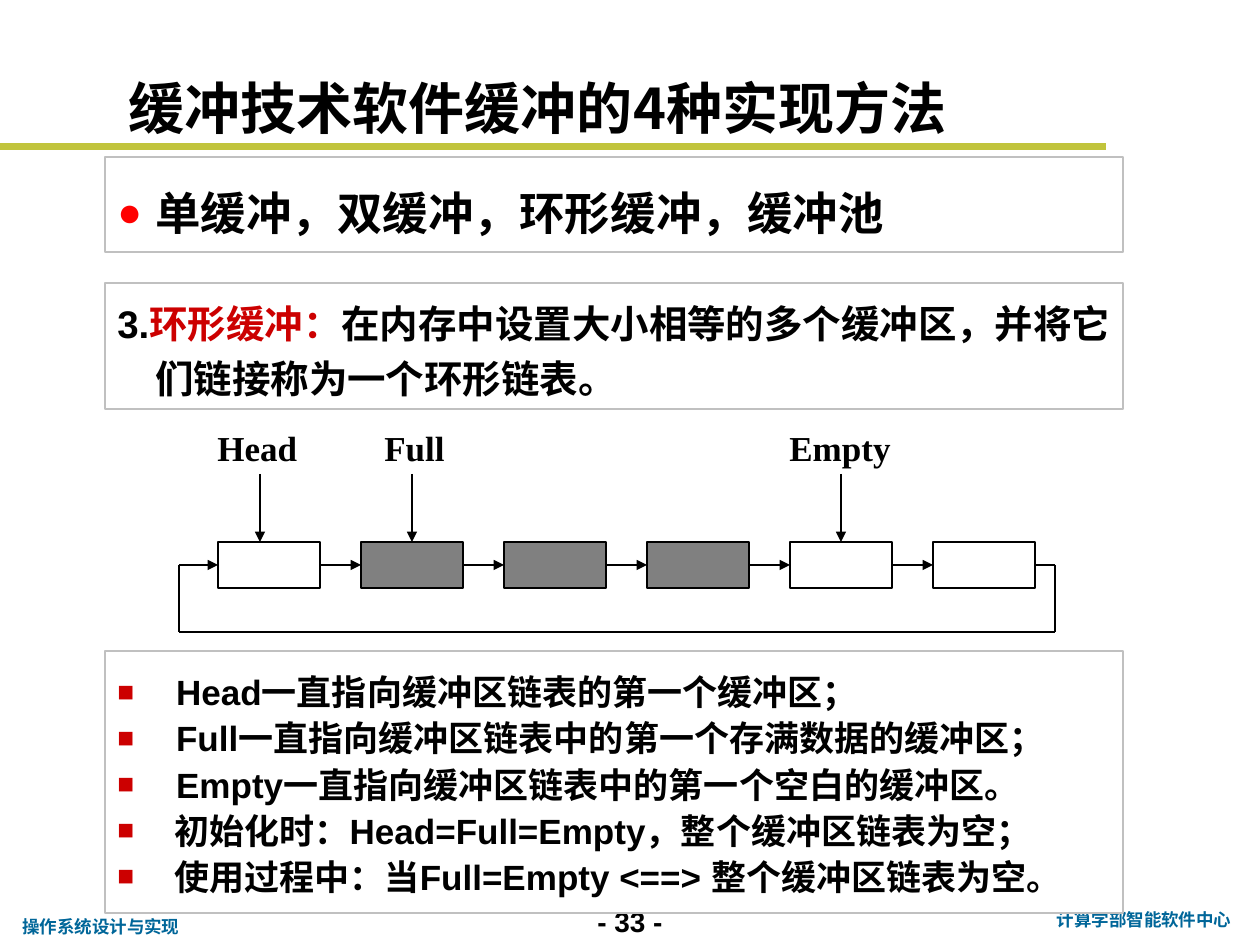
from dataclasses import dataclass
from typing import Optional

from lxml.etree import SubElement
from pptx import Presentation
from pptx.dml.color import RGBColor
from pptx.enum.shapes import MSO_CONNECTOR, MSO_SHAPE
from pptx.enum.text import MSO_ANCHOR, MSO_AUTO_SIZE, PP_ALIGN
from pptx.oxml.ns import qn
from pptx.util import Pt

EMU_PER_PX = 914400 / 126
CJK_FONT = "Noto Sans CJK SC"
COLORS = {
    "black": "000000", "white": "FFFFFF", "full": "808080", "border": "C0C0C0",
    "red": "CC0000", "bullet": "FF0000", "rule": "C1C43C", "footer": "006699",
}
TOP, LEFT, RIGHT = 0, 1, 3


@dataclass(frozen=True)
class Box:
    left: int
    top: int
    width: int
    height: int


@dataclass(frozen=True)
class Style:
    size: int
    font: str = "Arial"
    color: str = "black"
    align: PP_ALIGN = PP_ALIGN.LEFT


@dataclass(frozen=True)
class Bullet:
    char: str
    color: str
    percent: int


@dataclass(frozen=True)
class Pointer:
    label: str
    label_box: Box
    x: int
    buffer: Optional[int] = None


def px(length: int) -> int:
    return round(length * EMU_PER_PX)


def rgb(name: str) -> RGBColor:
    return RGBColor.from_string(COLORS[name])


def place(shape, box: Box) -> None:
    shape.left, shape.top = px(box.left), px(box.top)
    shape.width, shape.height = px(box.width), px(box.height)


def add_run(paragraph, text: str, style: Style, color: str = "") -> None:
    run = paragraph.add_run()
    run.text = text
    run.font.name = style.font
    run.font.size = Pt(style.size)
    run.font.bold = True
    run.font.color.rgb = rgb(color or style.color)
    SubElement(run.font._element, qn("a:ea"), typeface=CJK_FONT)


def add_label(slide, box: Box, text: str, style: Style, wrap: bool = True) -> None:
    label = slide.shapes.add_textbox(0, 0, 0, 0)
    place(label, box)
    label.text_frame.word_wrap = wrap
    paragraph = label.text_frame.paragraphs[0]
    paragraph.alignment = style.align
    add_run(paragraph, text, style)


def add_rect(slide, box: Box, fill: str, border: str):
    rect = slide.shapes.add_shape(MSO_SHAPE.RECTANGLE, 0, 0, 0, 0)
    place(rect, box)
    rect.shadow.inherit = False
    rect.fill.solid()
    rect.fill.fore_color.rgb = rgb(fill)
    rect.line.color.rgb = rgb(border)
    rect.line.width = Pt(0.75)
    return rect


def add_panel(slide, box: Box, paragraphs: list, style: Style, indent: int,
              spacing: float, bullet: Optional[Bullet] = None) -> None:
    """Draw a bordered box; each paragraph is a list of (text, color) runs."""
    frame = add_rect(slide, box, "white", "border").text_frame
    frame.word_wrap = True
    frame.vertical_anchor = MSO_ANCHOR.MIDDLE
    for index, runs in enumerate(paragraphs):
        paragraph = frame.add_paragraph() if index else frame.paragraphs[0]
        paragraph.alignment = style.align
        paragraph.line_spacing = spacing
        properties = paragraph._p.get_or_add_pPr()
        properties.set("marL", str(px(indent)))
        properties.set("indent", str(-px(indent)))
        if bullet:
            bullet_color = SubElement(properties, qn("a:buClr"))
            SubElement(bullet_color, qn("a:srgbClr"), val=COLORS[bullet.color])
            SubElement(properties, qn("a:buSzPct"), val=str(bullet.percent * 1000))
            SubElement(properties, qn("a:buFont"), typeface="Arial")
            SubElement(properties, qn("a:buChar"), char=bullet.char)
        for text, color in runs:
            add_run(paragraph, text, style, color)


def add_line(slide, start: tuple[int, int], end: tuple[int, int], arrow: bool = False,
             color: str = "black", width: float = 0.75):
    line = slide.shapes.add_connector(MSO_CONNECTOR.STRAIGHT, *map(px, start + end))
    line.line.color.rgb = rgb(color)
    line.line.width = Pt(width)
    if arrow:
        SubElement(line.line._get_or_add_ln(), qn("a:tailEnd"), type="triangle")
    SubElement(line._element.spPr, qn("a:effectLst"))
    return line


def add_ring(slide) -> list:
    """Draw the chained buffers and the line that closes them into a ring."""
    first, pitch, width, top, height = 218, 143, 102, 542, 46
    middle, bottom, ring_left, ring_right = top + height // 2, 632, 179, 1055
    fills = ["white", "full", "full", "full", "white", "white"]
    lefts = [first + pitch * index for index in range(len(fills))]
    buffers = [add_rect(slide, Box(left, top, width, height), fill, "black")
               for left, fill in zip(lefts, fills)]
    for index, left in enumerate(lefts[1:]):
        link = add_line(slide, (lefts[index] + width, middle), (left, middle), arrow=True)
        link.begin_connect(buffers[index], RIGHT)
        link.end_connect(buffers[index + 1], LEFT)

    corners = [(lefts[-1] + width, middle), (ring_right, middle), (ring_right, bottom),
               (ring_left, bottom), (ring_left, middle), (first, middle)]
    sides = [add_line(slide, start, end, arrow=end == corners[-1])
             for start, end in zip(corners, corners[1:])]
    sides[0].begin_connect(buffers[-1], RIGHT)
    sides[-1].end_connect(buffers[0], LEFT)
    return buffers


def add_pointer(slide, pointer: Pointer, buffers: list) -> None:
    style = Style(20, "Times New Roman", align=PP_ALIGN.JUSTIFY)
    add_label(slide, pointer.label_box, pointer.label, style)
    arrow = add_line(slide, (pointer.x, 474), (pointer.x, 542), arrow=True)
    if pointer.buffer is not None:
        arrow.end_connect(buffers[pointer.buffer], TOP)


def add_title(slide, text: str) -> None:
    title = slide.shapes.title
    place(title, Box(116, 68, 987, 79))
    frame = title.text_frame
    frame.auto_size = MSO_AUTO_SIZE.NONE
    frame.vertical_anchor = MSO_ANCHOR.BOTTOM
    frame.paragraphs[0].alignment = PP_ALIGN.LEFT
    add_run(frame.paragraphs[0], text, Style(32, CJK_FONT))


def main() -> None:
    deck = Presentation()
    deck.slide_width, deck.slide_height = px(1260), px(945)
    slide = deck.slides.add_slide(deck.slide_layouts[5])

    add_label(slide, Box(567, 898, 126, 47), "- 33 -", Style(16, align=PP_ALIGN.CENTER))
    add_line(slide, (0, 147), (1106, 147), color="rule", width=4)
    add_label(slide, Box(1040, 903, 208, 34), "计算学部智能软件中心",
              Style(10, "Roboto", "footer", PP_ALIGN.CENTER))
    add_label(slide, Box(10, 910, 184, 34), "操作系统设计与实现",
              Style(10, "Roboto", "footer"), wrap=False)

    add_title(slide, "缓冲技术软件缓冲的4种实现方法")
    add_panel(slide, Box(105, 157, 1018, 95),
              [[("单缓冲，双缓冲，环形缓冲，缓冲池", "black")]],
              Style(26), 38, 1.3, Bullet("●", "bullet", 90))
    add_panel(slide, Box(105, 283, 1018, 126),
              [[("3.", "black"), ("环形缓冲：", "red"),
                ("在内存中设置大小相等的多个缓冲区，并将它们链接称为一个环形链表。", "black")]],
              Style(22), 38, 1.2)

    buffers = add_ring(slide)
    for pointer in (Pointer("Head", Box(205, 420, 137, 68), 260),
                    Pointer("Full", Box(372, 420, 102, 68), 412, buffer=1),
                    Pointer("Empty", Box(777, 420, 164, 68), 841, buffer=4)):
        add_pointer(slide, pointer, buffers)

    rules = [" Head一直指向缓冲区链表的第一个缓冲区；",
             " Full一直指向缓冲区链表中的第一个存满数据的缓冲区；",
             " Empty一直指向缓冲区链表中的第一个空白的缓冲区。",
             " 初始化时：Head=Full=Empty，整个缓冲区链表为空；",
             " 使用过程中：当Full=Empty <==> 整个缓冲区链表为空。"]
    add_panel(slide, Box(105, 651, 1018, 262), [[(rule, "black")] for rule in rules],
              Style(20), 49, 1.1, Bullet("■", "red", 80))
    deck.save("out.pptx")


if __name__ == "__main__":
    main()
